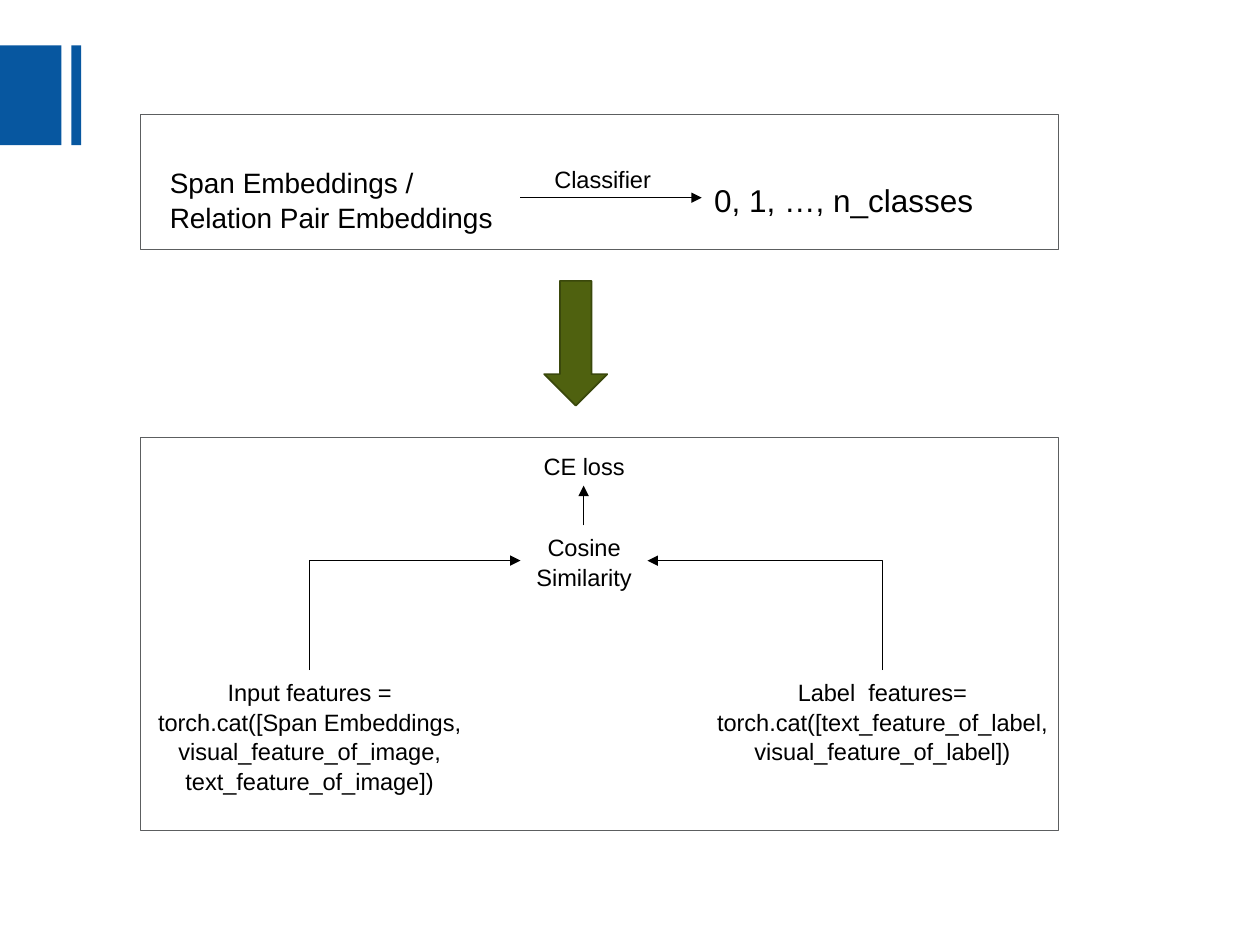
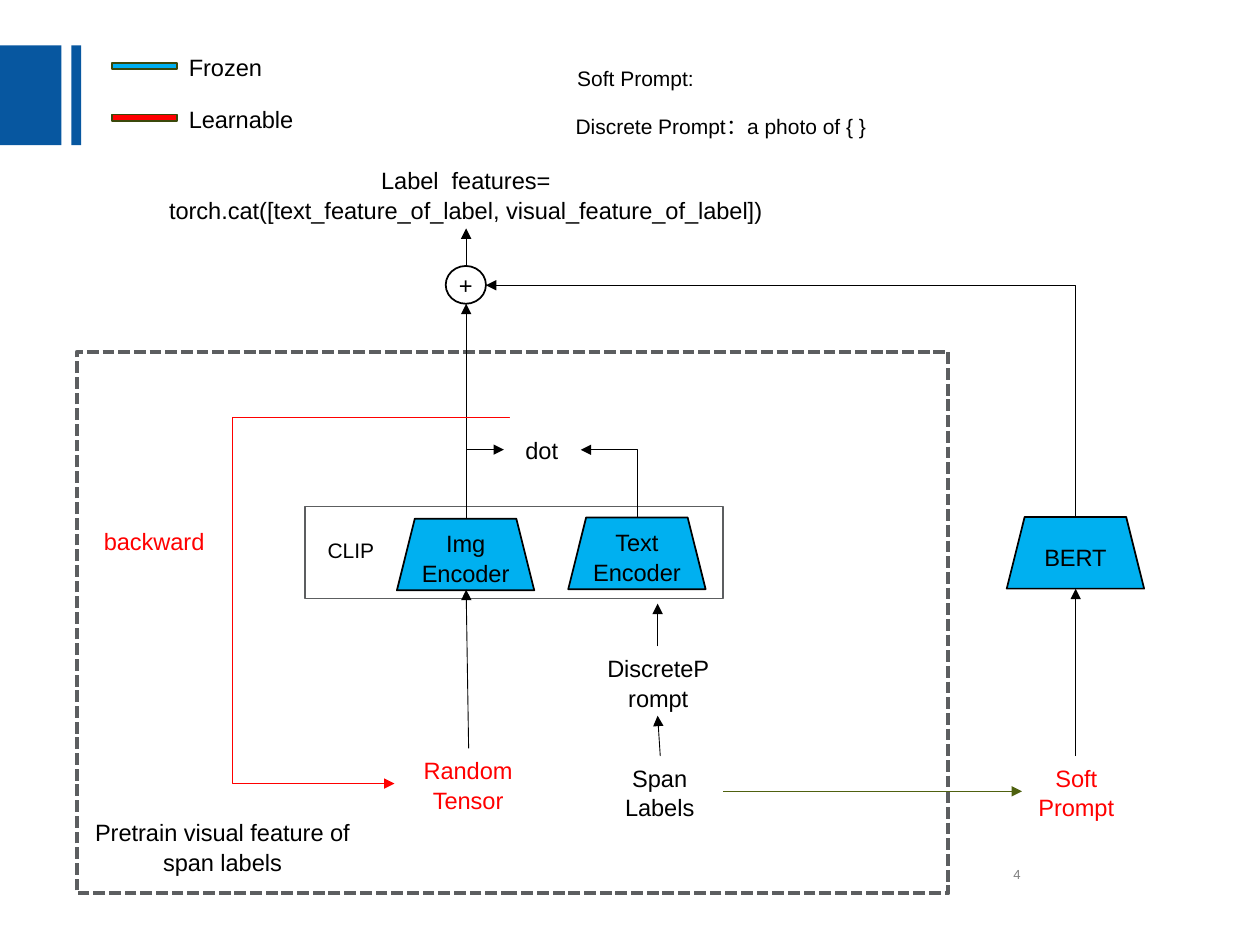
from dataclasses import dataclass
from typing import Optional

from lxml.etree import SubElement
from pptx import Presentation
from pptx.dml.color import RGBColor
from pptx.enum.dml import MSO_LINE
from pptx.enum.shapes import MSO_CONNECTOR, MSO_SHAPE
from pptx.enum.text import MSO_ANCHOR, PP_ALIGN
from pptx.oxml.ns import qn
from pptx.util import Pt

FONT = "Arial"
BLACK, WHITE, RED = "000000", "FFFFFF", "FF0000"
BAND_BLUE, FROZEN_BLUE = "0757A0", "00B0F0"
FRAME_GREY, NUMBER_GREY = "5C5E60", "808080"
OLIVE, DARK_OLIVE = "4F610F", "3A480B"
BODY, SMALL = 13.5, 12
LEFT, CENTER, RIGHT = PP_ALIGN.LEFT, PP_ALIGN.CENTER, PP_ALIGN.RIGHT


@dataclass
class Label:
    """Free text in a box given in points."""
    text: str
    x: float
    y: float
    w: float
    h: float
    size: float = BODY
    color: str = BLACK
    align: PP_ALIGN = CENTER
    anchor: MSO_ANCHOR = MSO_ANCHOR.TOP


@dataclass
class Block:
    """A preset shape in points, with optional outline and text."""
    kind: MSO_SHAPE
    x: float
    y: float
    w: float
    h: float
    fill: str = WHITE
    line: Optional[str] = None
    weight: float = 1
    text: str = ""
    dash: Optional[MSO_LINE] = None


@dataclass
class Arrow:
    """An arrow between two points; a bent one leaves its start vertically."""
    start: tuple[float, float]
    end: tuple[float, float]
    color: str = BLACK
    preset: Optional[str] = None
    adjustments: tuple[int, ...] = ()


def rgb(value: str) -> RGBColor:
    """Turn a hex string into a colour."""
    return RGBColor.from_string(value)


def write(frame, text: str, size: float, color: str, align: PP_ALIGN) -> None:
    """Fill a text frame, one paragraph per line of text."""
    frame.word_wrap = True
    for index, line in enumerate(text.split("\n")):
        paragraph = frame.paragraphs[0] if index == 0 else frame.add_paragraph()
        paragraph.alignment = align
        paragraph.line_spacing = 1.05
        run = paragraph.add_run()
        run.text = line
        run.font.name = FONT
        run.font.size = Pt(size)
        run.font.color.rgb = rgb(color)


def draw_label(slide, label: Label) -> None:
    """Add a text box."""
    box = slide.shapes.add_textbox(Pt(label.x), Pt(label.y), Pt(label.w), Pt(label.h))
    box.text_frame.vertical_anchor = label.anchor
    write(box.text_frame, label.text, label.size, label.color, label.align)


def draw_block(slide, block: Block):
    """Add a preset shape and return it."""
    shape = slide.shapes.add_shape(
        block.kind, Pt(block.x), Pt(block.y), Pt(block.w), Pt(block.h))
    shape.shadow.inherit = False
    shape.fill.solid()
    shape.fill.fore_color.rgb = rgb(block.fill)
    if block.line:
        shape.line.color.rgb = rgb(block.line)
        shape.line.width = Pt(block.weight)
        if block.dash:
            shape.line.dash_style = block.dash
    else:
        shape.line.fill.background()
    if block.text:
        frame = shape.text_frame
        frame.margin_left = frame.margin_right = Pt(0)
        frame.margin_top = frame.margin_bottom = Pt(0)
        frame.vertical_anchor = MSO_ANCHOR.MIDDLE
        write(frame, block.text, BODY, BLACK, CENTER)
    return shape


def bend(connector, arrow: Arrow) -> None:
    """Turn a connector by 90 degrees so that its first leg is vertical."""
    (x1, y1), (x2, y2) = arrow.start, arrow.end
    width, height = abs(y2 - y1), abs(x2 - x1)
    connector.left = Pt((x1 + x2 - width) / 2)
    connector.top = Pt((y1 + y2 - height) / 2)
    connector.width, connector.height = Pt(width), Pt(height)
    properties = connector.element.spPr
    transform = properties.find(qn("a:xfrm"))
    transform.set("rot", "5400000")
    transform.set("flipH", str(int(y2 < y1)))
    transform.set("flipV", str(int(x2 > x1)))
    geometry = properties.find(qn("a:prstGeom"))
    geometry.set("prst", arrow.preset)
    guides = geometry.find(qn("a:avLst"))
    for number, value in enumerate(arrow.adjustments, 1):
        SubElement(guides, qn("a:gd"), name=f"adj{number}", fmla=f"val {value}")


def draw_arrow(slide, arrow: Arrow) -> None:
    """Add a thin connector with a triangle at its end."""
    kind = MSO_CONNECTOR.ELBOW if arrow.preset else MSO_CONNECTOR.STRAIGHT
    connector = slide.shapes.add_connector(kind, *map(Pt, arrow.start + arrow.end))
    if arrow.preset:
        bend(connector, arrow)
    connector.line.color.rgb = rgb(arrow.color)
    connector.line.width = Pt(0.5)
    SubElement(connector.get_or_add_ln(), qn("a:tailEnd"), type="triangle")
    SubElement(connector.element.spPr, qn("a:effectLst"))


def corner(start: tuple[float, float], end: tuple[float, float]) -> Arrow:
    """Describe an arrow with one right angle."""
    return Arrow(start, end, preset="bentConnector2")


def encoder(text: str, x: float, y: float) -> Block:
    """Describe a frozen encoder."""
    return Block(MSO_SHAPE.TRAPEZOID, x, y, 78.5, 41, FROZEN_BLUE, BLACK, text=text)


def add_master_bands(deck, slide) -> None:
    """Put the two blue bands on the slide master."""
    for index, (x, width) in enumerate(((-1.4, 36.5), (40.8, 5.6))):
        band = draw_block(
            slide, Block(MSO_SHAPE.RECTANGLE, x, 26, width, 57, BAND_BLUE)).element
        band.nvSpPr.cNvPr.set("id", str(90 + index))
        deck.slide_master.shapes.element.insert(2 + index, band)


def draw(slide, blocks: list[Block], arrows: list[Arrow], labels: list[Label]) -> None:
    """Draw a diagram from back to front."""
    for block in blocks:
        draw_block(slide, block)
    for arrow in arrows:
        draw_arrow(slide, arrow)
    for label in labels:
        draw_label(slide, label)


def build_loss_slide(slide) -> None:
    """Show how the classifier gives way to a cosine similarity."""
    blocks = [
        Block(MSO_SHAPE.RECTANGLE, 80, y, 525, height, line=FRAME_GREY, weight=0.25)
        for y, height in ((65.5, 77), (250, 224.5))
    ]
    blocks.append(Block(MSO_SHAPE.DOWN_ARROW, 311, 160.5, 36, 71.3, OLIVE, DARK_OLIVE))
    arrows = [
        Arrow((297.4, 113), (401, 113)),
        Arrow((333.5, 300.2), (333.5, 277.5)),
        corner((177, 383), (297.4, 320.4)),
        corner((504, 383), (370, 320.4)),
    ]
    labels = [
        Label("Span Embeddings /\nRelation Pair Embeddings", 90, 90, 206.6, 46, 16,
              align=LEFT),
        Label("Classifier", 308, 90, 72.7, 24),
        Label("0, 1, …, n_classes", 401, 98.6, 173.5, 29, 18, align=LEFT),
        Label("CE loss", 297.4, 254, 72.7, 24),
        Label("Cosine Similarity", 297.4, 300.2, 72.7, 40.3),
        Label("Input features =\ntorch.cat([Span Embeddings, visual_feature_of_image, "
              "text_feature_of_image])", 43, 383, 268, 72.7),
        Label(LABEL_FEATURES, 347, 383, 314.6, 56),
    ]
    draw(slide, blocks, arrows, labels)


def build_prompt_slide(slide) -> None:
    """Show how the label features are built from both encoders."""
    blocks = [
        Block(MSO_SHAPE.RECTANGLE, 44, 201, 498, 309.6, line=FRAME_GREY, weight=2.25,
              dash=MSO_LINE.SQUARE_DOT),
        Block(MSO_SHAPE.RECTANGLE, 174.2, 289.5, 239, 52.6, line=FRAME_GREY),
        encoder("Img Encoder", 226.8, 296.4),
        encoder("Text Encoder", 324.7, 295.7),
        encoder("BERT", 575.3, 295.4),
        Block(MSO_SHAPE.FLOWCHART_CONNECTOR, 254.7, 152, 23, 21.6, line=BLACK, text="+"),
    ]
    labels = []
    legend = (("Frozen", FROZEN_BLUE), ("Learnable", RED))
    for row, (state, color) in enumerate(legend):
        offset = 29.6 * row
        blocks.append(Block(MSO_SHAPE.RECTANGLE, 64, 35.8 + offset, 37, 3.6,
                            color, DARK_OLIVE))
        labels.append(Label(state, 100.8, 26 + offset, 81, 24, align=LEFT))
    arrows = [
        Arrow((267.8, 427.7), (266.4, 337)),
        Arrow((266.4, 291), (266.4, 173.6)),
        Arrow((266.4, 152), (266.4, 130.5)),
        Arrow((375.8, 369.4), (375.8, 345)),
        Arrow((377.3, 432), (375.8, 409)),
        Arrow((614.7, 432), (614.7, 336.4)),
        Arrow((413.3, 452.2), (584, 452.2), OLIVE),
        corner((266.4, 296.4), (288, 257)),
        corner((364.3, 295.7), (331.9, 257)),
        corner((614.7, 295.4), (277.7, 163)),
        Arrow((291, 239), (225.4, 447.8), RED, "bentConnector4", (-200, 241300)),
    ]
    labels += [
        Label("Soft Prompt:", 321.8, 33, 82.8, 21.8, SMALL),
        Label("Discrete Prompt：a photo of { }", 321.8, 60.5, 298, 21.8, SMALL,
              align=LEFT),
        Label(LABEL_FEATURES, 88, 90.5, 356.4, 40.3),
        Label("dot", 288, 245, 43.2, 24),
        Label("backward", 46, 296.7, 84.2, 24, color=RED),
        Label("CLIP", 173.5, 303, 54, 21.8, SMALL),
        Label("DiscretePrompt", 339.8, 369.4, 72.7, 40.3),
        Label("Random Tensor", 225.4, 427.7, 84.2, 40.3, color=RED),
        Label("Span\nLabels", 340.6, 432, 72.7, 40.3),
        Label("Soft\nPrompt", 584, 432, 62, 40.3, color=RED),
        Label("Pretrain visual feature of span labels", 44, 463, 166.3, 40.3),
        Label("4", 418.3, 491, 172, 16.6, 7.5, NUMBER_GREY, RIGHT, MSO_ANCHOR.MIDDLE),
    ]
    draw(slide, blocks, arrows, labels)


LABEL_FEATURES = ("Label  features=\n"
                  "torch.cat([text_feature_of_label, visual_feature_of_label])")

deck = Presentation()
deck.slide_width, deck.slide_height = Pt(720), Pt(540)
blank = deck.slide_layouts[6]
loss_slide, prompt_slide = (deck.slides.add_slide(blank) for _ in range(2))
add_master_bands(deck, loss_slide)
build_loss_slide(loss_slide)
build_prompt_slide(prompt_slide)
deck.save("out.pptx")
